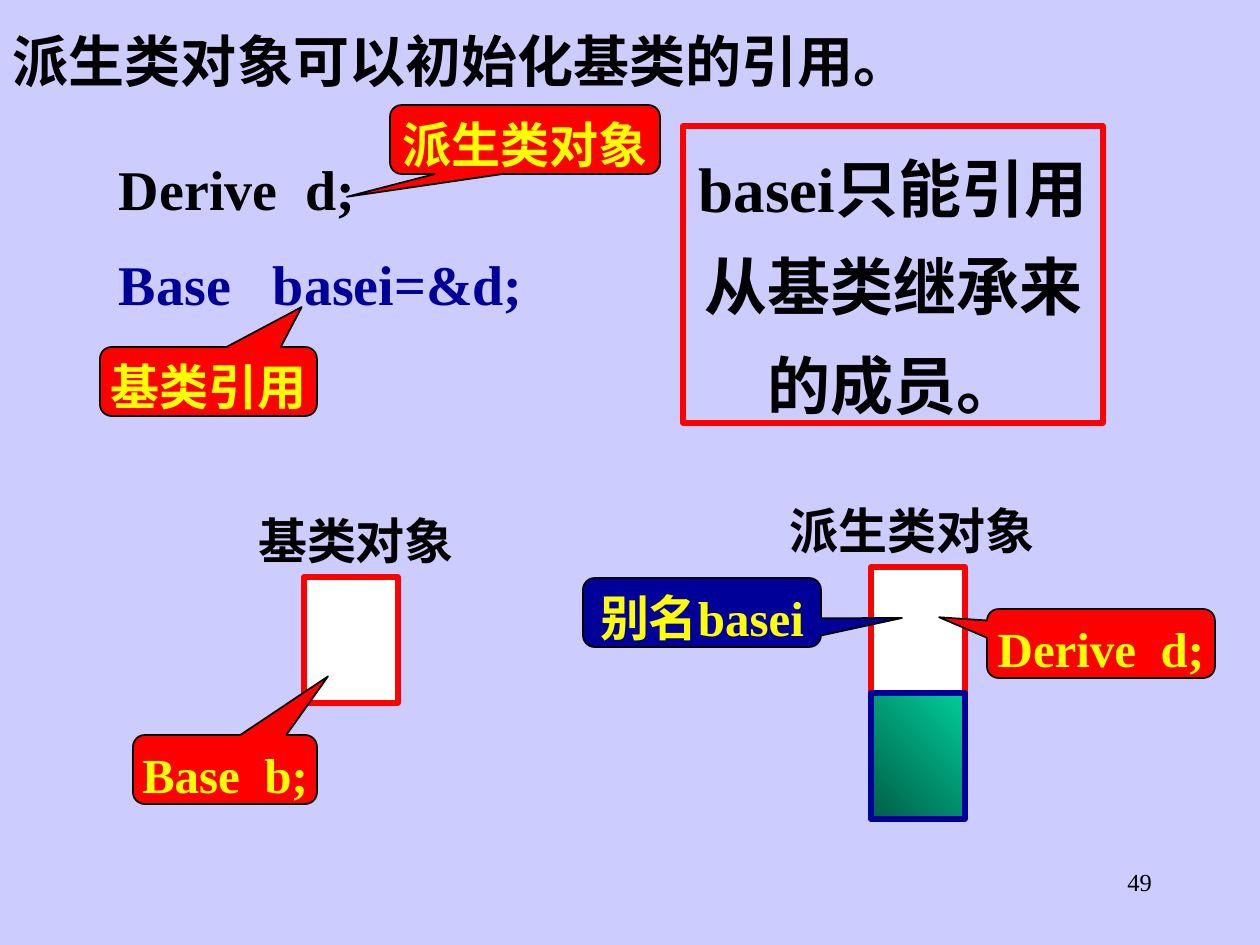
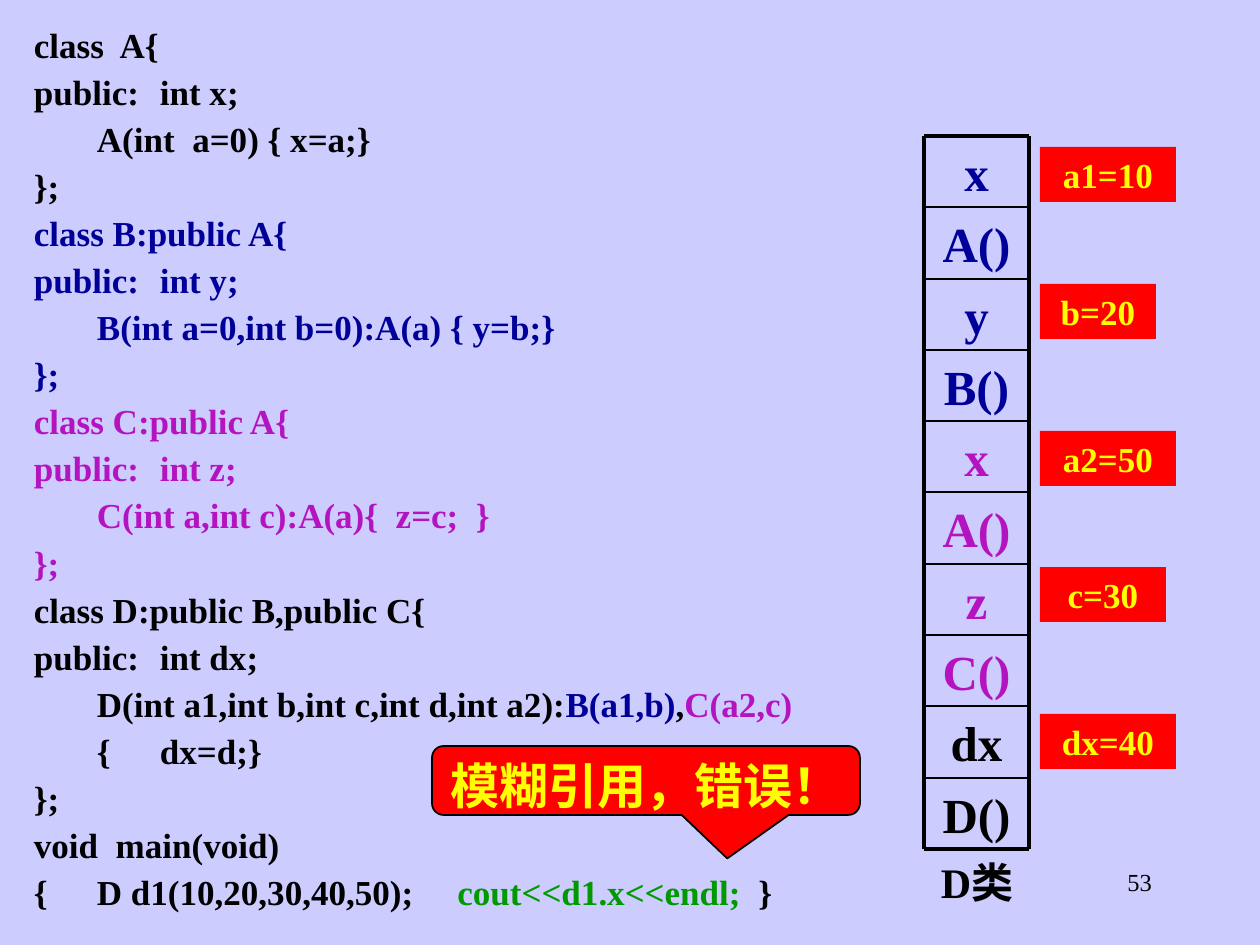
import pptx
import pptx.util
import pptx.dml.color
import pptx.enum.shapes
import pptx.enum.text
import lxml.etree

SHAPE = pptx.enum.shapes.MSO_SHAPE
ALIGN = pptx.enum.text.PP_ALIGN
ANCHOR = pptx.enum.text.MSO_ANCHOR
FONT = "Times New Roman"
BLACK, WHITE, RED, YELLOW = "000000", "FFFFFF", "FF0000", "FFFF00"
NAVY, PURPLE, GREEN, LAVENDER = "000099", "B414C0", "009900", "CCCCFF"
DARK_TEAL, TEAL = "005E47", "00CC99"
PX_PER_INCH = 126
WIDE, TIGHT, SNUG = (13, 6), (3, 1), (3, 0)


def px(n):
    """Turn a length in px into EMU."""
    return pptx.util.Emu(round(n * 914400 / PX_PER_INCH))


def rgb(color):
    """Turn a hex string into an RGB colour."""
    return pptx.dml.color.RGBColor.from_string(color)


def write(sp, text, size=28, color=BLACK, bold=True, align=ALIGN.LEFT,
          spacing=None, before=0, inset=WIDE, anchor=ANCHOR.TOP, wrap=True):
    """Fill a shape with a string, or with paragraphs of (text, colour) runs."""
    tf = sp.text_frame
    tf.word_wrap = wrap
    tf.vertical_anchor = anchor
    tf.margin_left = tf.margin_right = px(inset[0])
    tf.margin_top = tf.margin_bottom = px(inset[1])
    paragraphs = [[(text, color)]] if isinstance(text, str) else text
    for i, runs in enumerate(paragraphs):
        p = tf.add_paragraph() if i else tf.paragraphs[0]
        p.alignment = align
        if spacing:
            p.line_spacing = spacing
        if i:
            p.space_before = pptx.util.Pt(before)
        for content, run_color in runs:
            r = p.add_run()
            r.text = content
            r.font.name = FONT
            r.font.size = pptx.util.Pt(size)
            r.font.bold = bold
            r.font.color.rgb = rgb(run_color)


def add_text(slide, box, text, **fmt):
    """Add a text box."""
    sp = slide.shapes.add_textbox(*map(px, box))
    write(sp, text, **fmt)


def add_block(slide, box, fill=None, line=None, weight=3, kind=SHAPE.RECTANGLE):
    """Add a shape with a solid, gradient or empty fill."""
    sp = slide.shapes.add_shape(kind, *map(px, box))
    sp.shadow.inherit = False
    if fill is None:
        sp.fill.background()
    elif isinstance(fill, tuple):
        sp.fill.gradient()
        sp.fill.gradient_angle = 45
        for stop, color in zip(sp.fill.gradient_stops, fill):
            stop.color.rgb = rgb(color)
    else:
        sp.fill.solid()
        sp.fill.fore_color.rgb = rgb(fill)
    if line:
        sp.line.color.rgb = rgb(line)
        sp.line.width = pptx.util.Pt(weight)
    else:
        sp.line.fill.background()
    return sp


def add_callout(slide, box, text, tip, fill=RED):
    """Add a rounded callout whose tip is given relative to its size."""
    sp = add_block(slide, box, fill, BLACK, 1, SHAPE.ROUNDED_RECTANGULAR_CALLOUT)
    sp.adjustments[0], sp.adjustments[1] = tip
    sp.adjustments[2] = 0.17
    write(sp, text, color=YELLOW, align=ALIGN.CENTER, spacing=1.1,
          inset=SNUG, wrap=False)


def add_rule(slide, x1, y1, x2, y2, weight):
    """Add a straight black line."""
    sp = slide.shapes.add_connector(
        pptx.enum.shapes.MSO_CONNECTOR.STRAIGHT, *map(px, (x1, y1, x2, y2)))
    sp.line.color.rgb = rgb(BLACK)
    sp.line.width = pptx.util.Pt(weight)
    lxml.etree.SubElement(sp.element.spPr, pptx.oxml.ns.qn("a:effectLst"))


def add_slide(prs, number):
    """Add a blank slide with the shared background and page number."""
    slide = prs.slides.add_slide(prs.slide_layouts[6])
    slide.background.fill.solid()
    slide.background.fill.fore_color.rgb = rgb(LAVENDER)
    add_text(slide, (903, 861, 262, 63), str(number), size=14, bold=False,
             align=ALIGN.RIGHT)
    return slide


def add_member_column(slide, members, left=924, top=136, width=105, height=713):
    """Draw class members as equal rows in a ruled column."""
    ys = [top + round(i * height / len(members)) for i in range(len(members) + 1)]
    for (name, color), y, below in zip(members, ys, ys[1:]):
        add_text(slide, (left, y, width, below - y), name, color=color,
                 align=ALIGN.CENTER, anchor=ANCHOR.MIDDLE)
    for y in ys:
        add_rule(slide, left, y, left + width, y, 2.25 if y in (ys[0], ys[-1]) else 1)
    for x in (left, left + width):
        add_rule(slide, x, ys[0], x, ys[-1], 2.25)


def build_reference_slide(prs):
    """Show a base-class reference bound to a derived object."""
    slide = add_slide(prs, 49)
    add_text(slide, (0, 0, 1260, 101), "派生类对象可以初始化基类的引用。", size=32,
             align=ALIGN.JUSTIFY, spacing=1.3)
    statements = [((116, 147, 378, 77), "Derive  d;", BLACK),
                  ((116, 242, 483, 77), "Base   basei=&d;", NAVY)]
    for box, code, color in statements:
        add_text(slide, box, code, size=32, color=color, spacing=1.1, inset=TIGHT)

    for box, label in [((251, 504, 210, 68), "基类对象"),
                       ((786, 494, 252, 68), "派生类对象")]:
        add_text(slide, box, label, align=ALIGN.CENTER, spacing=1.1, inset=TIGHT)
    for x, y, fill, line in [(304, 577, WHITE, RED), (871, 567, WHITE, RED),
                             (871, 693, (DARK_TEAL, TEAL), NAVY)]:
        add_block(slide, (x, y, 94, 126), fill, line)

    add_callout(slide, (133, 735, 184, 69), "Base  b;", (0.56, -1.35))
    add_callout(slide, (987, 609, 228, 69), "Derive  d;", (-0.71, -0.38))
    add_callout(slide, (583, 578, 238, 69), "别名basei", (0.84, 0.08), NAVY)
    note = add_block(slide, (683, 126, 420, 297), line=RED)
    write(note, "basei只能引用从基类继承来的成员。", size=36, align=ALIGN.CENTER,
          spacing=1.3, inset=TIGHT)
    add_callout(slide, (100, 347, 217, 69), "基类引用", (0.43, -1.08))
    add_callout(slide, (390, 105, 270, 69), "派生类对象", (-0.66, 0.83))


def build_ambiguity_slide(prs):
    """Show the class code beside the members of a D object."""
    slide = add_slide(prs, 53)
    sections = [
        (BLACK, ["class  A{", "public:\tint x;", "\tA(int  a=0) { x=a;}", "};"]),
        (NAVY, ["class B:public A{", "public:\tint y;",
                "\tB(int a=0,int b=0):A(a) { y=b;}", "};"]),
        (PURPLE, ["class C:public A{", "public:\tint z;",
                  "\tC(int a,int c):A(a){  z=c;  }", "};"]),
        (BLACK, ["class D:public B,public C{", "public:\tint dx;"]),
    ]
    code = [[(line, color)] for color, lines in sections for line in lines]
    code.append([("\tD(int a1,int b,int c,int d,int a2):", BLACK),
                 ("B(a1,b)", NAVY), (",", BLACK), ("C(a2,c)", PURPLE)])
    code += [[(line, BLACK)] for line in ("\t{\tdx=d;}", "};", "void  main(void)")]
    code.append([("{\tD d1(10,20,30,40,50);     ", BLACK),
                 ("cout<<d1.x<<endl;", GREEN), ("  }", BLACK)])
    add_text(slide, (21, 32, 945, 886), code, size=20, spacing=0.6, before=12.5)

    groups = [(NAVY, ["x", "A()", "y", "B()"]), (PURPLE, ["x", "A()", "z", "C()"]),
              (BLACK, ["dx", "D()"])]
    add_member_column(slide, [(name, color) for color, names in groups
                              for name in names])
    add_text(slide, (914, 851, 126, 63), "D类", size=24, align=ALIGN.CENTER)

    values = [("a1=10", 147, 136), ("b=20", 284, 116), ("a2=50", 431, 136),
              ("c=30", 567, 126), ("dx=40", 714, 136)]
    for value, y, width in values:
        sp = add_block(slide, (1040, y, width, 55), RED)
        write(sp, value, size=20, color=YELLOW, align=ALIGN.CENTER)
    add_callout(slide, (432, 746, 428, 69), "模糊引用，错误！", (0.19, 1.13))


def main():
    """Build and save the presentation."""
    prs = pptx.Presentation()
    prs.slide_width, prs.slide_height = px(1260), px(945)
    build_reference_slide(prs)
    build_ambiguity_slide(prs)
    prs.save("out.pptx")


if __name__ == "__main__":
    main()
